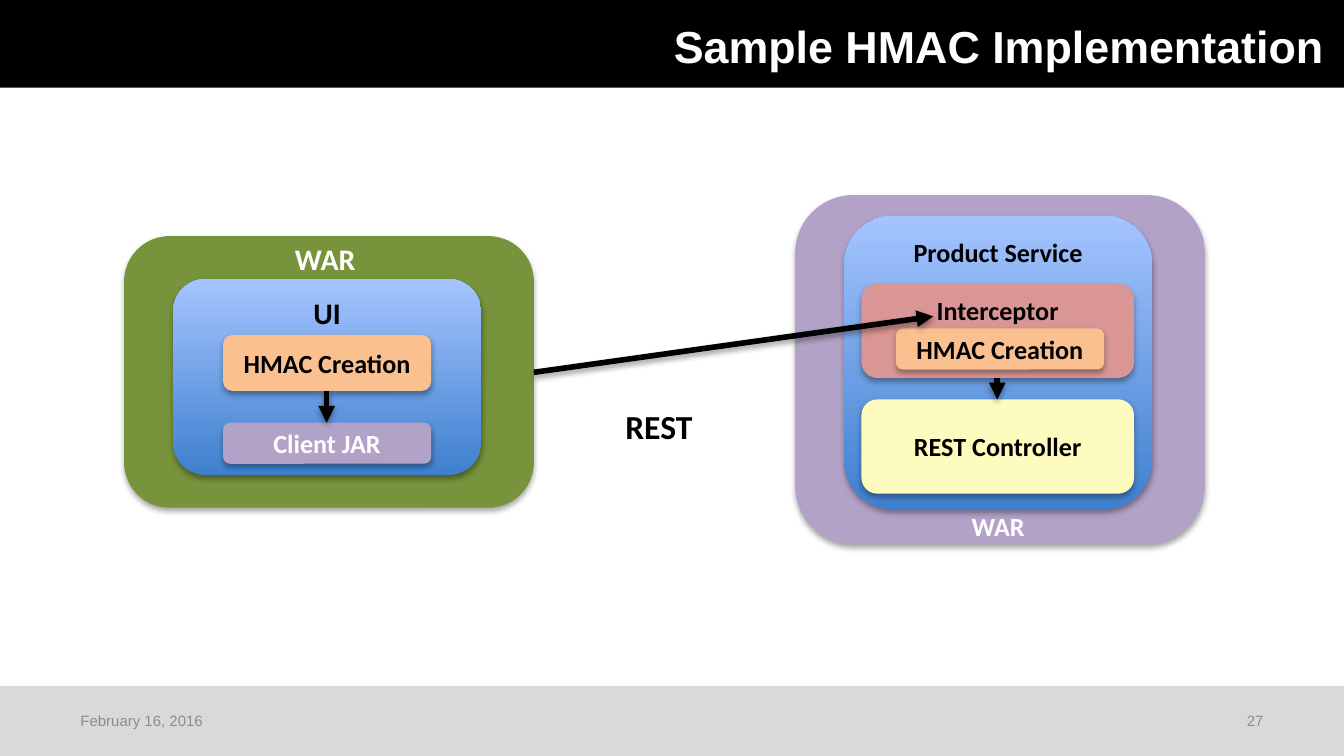
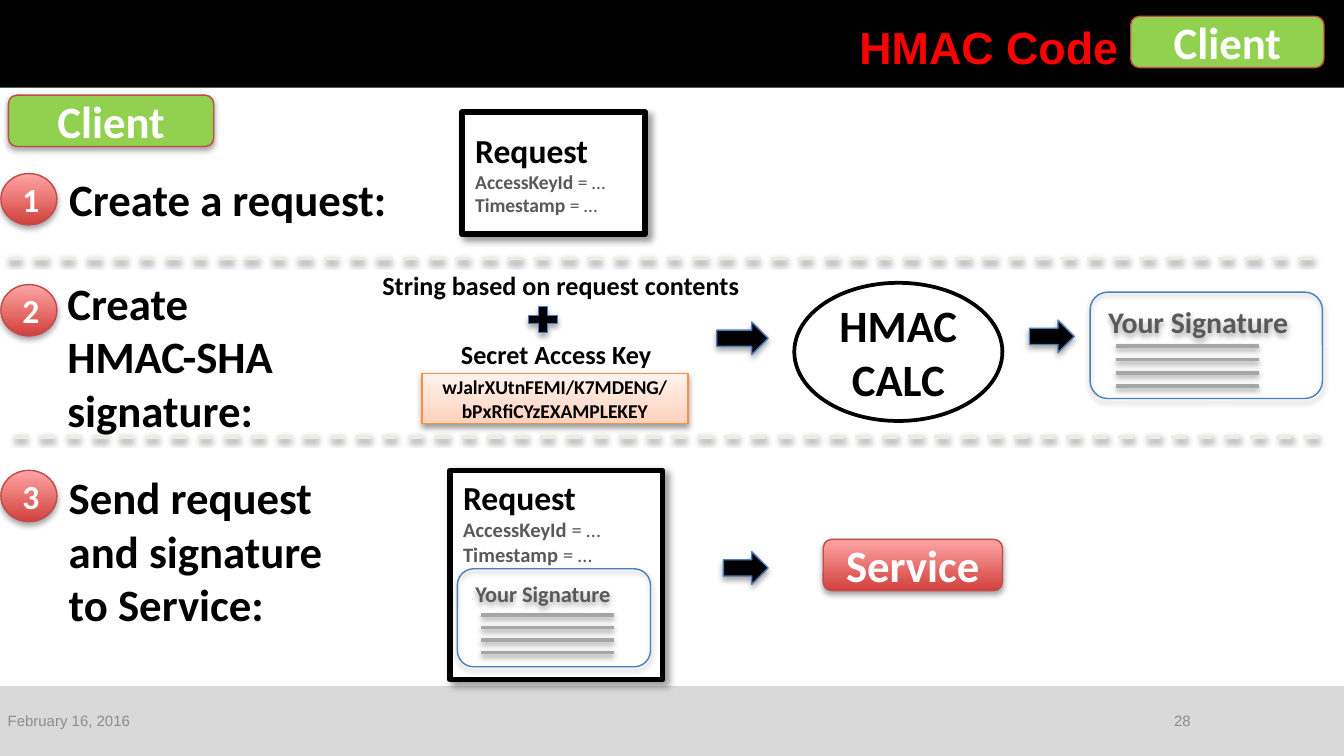
from copy import deepcopy

from pptx import Presentation
from pptx.dml.color import RGBColor
from pptx.enum.dml import MSO_LINE
from pptx.enum.shapes import MSO_CONNECTOR, MSO_SHAPE as SHAPE
from pptx.enum.text import MSO_ANCHOR as ANCHOR, PP_ALIGN as ALIGN
from pptx.oxml import parse_xml
from pptx.oxml.ns import nsdecls, qn
from pptx.util import Pt

BLACK, WHITE, GRAY, RULE_GRAY = "000000", "FFFFFF", "595959", "A6A6A6"
ORANGE, PURPLE, GREEN = "FAC090", "B3A2C7", "92D050"
BLUE_EDGE, RED_EDGE = "4B7EBC", "BF4C48"
# Gradients run from the bottom colour to the top colour.
BLUE_FADE, RED_FADE = ("3F80CE", "A4C4FF"), ("D1403C", "FFA6A5")
PEACH_FADE = ("FFD2BD", "FFF2ED")
rgb = RGBColor.from_string

# Opacity in percent, blur and distance in points, direction in degrees.
SHADOWS = {
    name: parse_xml(
        f'<a:effectLst {nsdecls("a")}><a:outerShdw blurRad="{Pt(blur)}" '
        f'dist="{Pt(distance)}" dir="{angle * 60000}" rotWithShape="0">'
        f'<a:srgbClr val="000000"><a:alpha val="{opacity * 1000}"/></a:srgbClr>'
        "</a:outerShdw></a:effectLst>")
    for name, opacity, blur, distance, angle in [
        ("soft", 35, 3.15, 1.8, 90), ("thin", 38, 3.15, 1.6, 90),
        ("frame", 40, 4, 3, 45), ("none", 0, 0, 0, 0)]
}
SHADOWS["none"].clear()


def add_box(page, kind, at, text="", size=14, color=BLACK, fill=None, edge=None,
            weight=0.75, shadow="soft", align=ALIGN.CENTER, anchor=ANCHOR.MIDDLE,
            font="Calibri", bold=True):
    """Add a preset shape, or a text box when kind is None."""
    at = [Pt(length) for length in at]
    if kind is None:
        box = page.shapes.add_textbox(*at)
    else:
        box = page.shapes.add_shape(kind, *at)
        if fill is None:
            box.fill.background()
        elif isinstance(fill, tuple):
            box.fill.gradient()
            box.fill.gradient_angle = 90
            for stop, shade in zip(box.fill.gradient_stops, fill):
                stop.color.rgb = rgb(shade)
        else:
            box.fill.solid()
            box.fill.fore_color.rgb = rgb(fill)
        if edge:
            box.line.color.rgb = rgb(edge)
            box.line.width = Pt(weight)
        else:
            box.line.fill.background()
        box.element.spPr.append(deepcopy(SHADOWS[shadow]))
    frame = box.text_frame
    frame.word_wrap = True
    frame.vertical_anchor = anchor
    frame.text = text
    for para in frame.paragraphs:
        para.alignment = align
        para.font.name, para.font.size, para.font.bold = font, Pt(size), bold
        para.font.color.rgb = rgb(color)
    return box


def add_line(page, start, end, color=BLACK, weight=3, arrow=False, dashed=False):
    line = page.shapes.add_connector(
        MSO_CONNECTOR.STRAIGHT, *[Pt(length) for length in (*start, *end)])
    line.line.color.rgb = rgb(color)
    line.line.width = Pt(weight)
    if dashed:
        line.line.dash_style = MSO_LINE.DASH
    properties = line.element.spPr
    if arrow:
        properties.find(qn("a:ln")).append(
            parse_xml(f'<a:tailEnd {nsdecls("a")} type="triangle"/>'))
    properties.append(deepcopy(SHADOWS["thin"]))


deck = Presentation()
deck.slide_width, deck.slide_height = Pt(720), Pt(405)

# Titles and footers
pages = []
for title, color, title_at, date_left, number, number_left in [
    ("Sample HMAC Implementation", WHITE, (230, 4.5, 479, 39.5), 36, "27", 576),
    ("HMAC Code", "FF0000", (328, 5, 271, 39.5), -3, "28", 537),
]:
    page = deck.slides.add_slide(deck.slide_layouts[5])
    pages.append(page)
    heading = page.shapes.title
    heading.left, heading.top, heading.width, heading.height = map(Pt, title_at)
    frame = heading.text_frame
    frame.text = title
    frame.margin_left = frame.margin_right = 0
    frame.vertical_anchor = ANCHOR.MIDDLE
    para = frame.paragraphs[0]
    para.alignment = ALIGN.RIGHT
    para.font.name, para.font.size, para.font.bold = "Arial", Pt(24), True
    para.font.color.rgb = rgb(color)
    for text, left, width, align in [
        ("February 16, 2016", date_left, 101, ALIGN.LEFT),
        (number, number_left, 108, ALIGN.RIGHT),
    ]:
        add_box(page, None, (left, 375, width, 21.6), text, 8, "8C8C8C",
                align=align, font="Arial", bold=False)

diagram, code = pages

# The bands belong to the master, behind everything else
for top, height, fill in [(0, 47, BLACK), (367.5, 37.5, "D9D9D9")]:
    band = add_box(diagram, SHAPE.RECTANGLE, (0, top, 720, height), fill=fill, shadow="none")
    deck.slide_master.shapes.element.insert(2, band.element)

# Slide 1: client and service archives
for at, text, size, color, fill, anchor in [
    ((66.5, 126.5, 219.5, 145.5), "", 14, WHITE, "77933C", ANCHOR.MIDDLE),
    ((92.75, 149.5, 165, 105), "UI", 16, BLACK, BLUE_FADE, ANCHOR.TOP),
    ((119.5, 179.5, 111.5, 30), "HMAC Creation", 14, BLACK, ORANGE, ANCHOR.MIDDLE),
    ((119.5, 226.5, 111.5, 22), "Client JAR", 14, WHITE, PURPLE, ANCHOR.MIDDLE),
    ((426, 104.5, 219.5, 187), "", 14, WHITE, PURPLE, ANCHOR.MIDDLE),
    ((452.25, 115.5, 165, 157.5), "Product Service", 14, BLACK, BLUE_FADE, ANCHOR.TOP),
    ((461.5, 152, 146, 50.5), "Interceptor", 14, BLACK, "D99694", ANCHOR.TOP),
    ((480, 176, 111.5, 22), "HMAC Creation", 14, BLACK, ORANGE, ANCHOR.MIDDLE),
    ((461.5, 214, 146, 50.5), "REST Controller", 14, BLACK, "FEFBBE", ANCHOR.MIDDLE),
]:
    add_box(diagram, SHAPE.ROUNDED_RECTANGLE, at, text, size, color, fill, anchor=anchor)

for at, text, size, color in [
    ((149, 125.5, 50.5, 26.5), "WAR", 16, WHITE),
    ((509.5, 270, 50.5, 24.5), "WAR", 14, WHITE),
    ((325, 214, 56, 29), "REST", 18, BLACK),
]:
    add_box(diagram, None, at, text, size, color, anchor=ANCHOR.TOP)

for start, end in [((175, 209.5), (175, 226.5)), ((534.25, 202.5), (534.25, 214)),
                   ((286, 199.5), (500, 169.5))]:
    add_line(diagram, start, end, arrow=True)

# Slide 2: three numbered steps
for at in [(4.5, 51, 110, 27.5), (605.75, 8.75, 103.5, 27.5)]:
    add_box(code, SHAPE.ROUNDED_RECTANGLE, at, "Client", 24, WHITE, GREEN, RED_EDGE)

for number, badge_top, at, text in [
    ("1", 93, (30, 88.5, 226, 36), "Create a request:"),
    ("2", 152.5, (29, 144, 227, 94.5), "Create\nHMAC-SHA\nsignature:"),
    ("3", 252, (29.75, 248, 169, 94.5), "Send request and signature to Service:"),
]:
    add_box(code, SHAPE.OVAL, (0.5, badge_top, 30, 27.5), number, 18, WHITE,
            RED_FADE, RED_EDGE)
    add_box(code, None, at, text, 24, align=ALIGN.LEFT, anchor=ANCHOR.TOP)

for left, top in [(4.5, 138.5), (7.5, 234)]:
    add_line(code, (left, top), (708.5, top), "EEECE1", 2, dashed=True)

# Request cards
for at, size, anchor in [((247.5, 60, 98, 65.5), 10.5, ANCHOR.MIDDLE),
                         ((241, 252, 114, 112), 11, ANCHOR.TOP)]:
    card = add_box(code, SHAPE.RECTANGLE, at, "Request", 18, BLACK, WHITE, BLACK, 3,
                   "frame", ALIGN.LEFT, anchor)
    for field in ("AccessKeyId", "Timestamp"):
        para = card.text_frame.add_paragraph()
        para.alignment = ALIGN.LEFT
        para.font.name, para.font.size = "Calibri", Pt(size)
        para.font.color.rgb = rgb(GRAY)
        for text, bold in [(field, True), (" = …", False)]:
            span = para.add_run()
            span.text, span.font.bold = text, bold

# Signature cards with four ruled lines each
for at, size, rule_left, rule_right, rule_top, gap in [
    ((584, 156.5, 124.5, 57), 16, 597.75, 674.5, 185.5, 7.1),
    ((245, 304.75, 103.5, 52.5), 12, 257.75, 329, 329.5, 6.7),
]:
    add_box(code, SHAPE.ROUNDED_RECTANGLE, at, "Your Signature", size, GRAY,
            edge=BLUE_EDGE, align=ALIGN.LEFT, anchor=ANCHOR.TOP)
    for row in range(4):
        top = rule_top + row * gap
        add_line(code, (rule_left, top), (rule_right, top), RULE_GRAY, 2)

# Signature calculation and delivery
for at, text in [((178, 141, 245, 24.5), "String based on request contents"),
                 ((205, 178, 186, 24.5), "Secret Access Key")]:
    add_box(code, None, at, text, anchor=ANCHOR.TOP)
add_box(code, SHAPE.RECTANGLE, (226, 200, 142.5, 27),
        "wJalrXUtnFEMI/K7MDENG/\nbPxRfiCYzEXAMPLEKEY", 10.5,
        fill=PEACH_FADE, edge="F69240", shadow="thin")
add_box(code, SHAPE.OVAL, (425.5, 151.5, 111.5, 74), "HMAC\nCALC", 24,
        fill=WHITE, edge=BLACK, weight=2, shadow="none")
add_box(code, SHAPE.MATH_PLUS, (280.5, 161.5, 21, 19.5), fill=BLACK, edge=BLUE_EDGE,
        weight=0.5)
for at in [(384, 172.5, 27.5, 17.5), (551.5, 171.5, 24, 17.5), (387.5, 295.5, 24, 17.5)]:
    add_box(code, SHAPE.RIGHT_ARROW, at, fill=BLACK, edge=BLUE_EDGE)
add_box(code, SHAPE.ROUNDED_RECTANGLE, (441, 289, 96, 27.5), "Service", 24, WHITE,
        RED_FADE, RED_EDGE)

deck.save("out.pptx")
